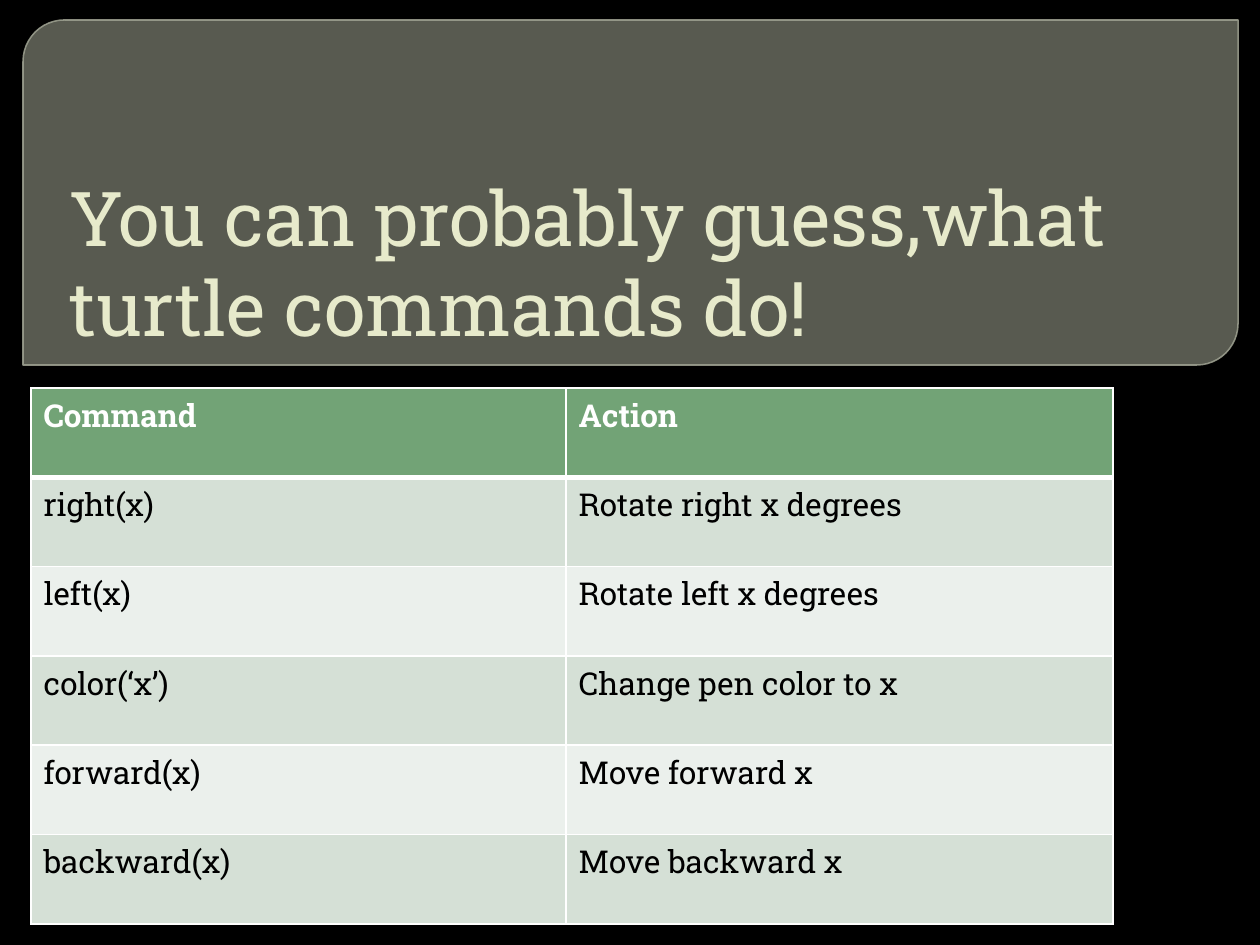
from dataclasses import dataclass
from typing import Any

from lxml import etree
from pptx import Presentation
from pptx import util as u
from pptx.dml import color
from pptx.enum import shapes, text
from pptx.oxml import ns

FACE = "Roboto Slab"
WHITE = "FFFFFF"


@dataclass
class Box:
    left: int
    top: int
    width: int
    height: int


@dataclass
class Row:
    name: str
    act: str


ROWS = [
    Row("Command", "Action"),
    Row("right(x)", "Rotate right x degrees"),
    Row("left(x)", "Rotate left x degrees"),
    Row("color(‘x’)", "Change pen color to x"),
    Row("forward(x)", "Move forward x"),
    Row("backward(x)", "Move backward x"),
]


def px(n: int) -> int:
    return round(n * u.Inches(1) / 126)


def rgb(code: str) -> color.RGBColor:
    return color.RGBColor.from_string(code)


def place(box: Box) -> list[int]:
    return [px(n) for n in (box.left, box.top, box.width, box.height)]


def apply(obj: Any, vals: dict[str, Any]) -> None:
    for key, val in vals.items():
        setattr(obj, key, val)


def paint(fill: Any, code: str, alpha: int = 100) -> None:
    fill.solid()
    fill.fore_color.rgb = rgb(code)
    if alpha < 100:
        tint = fill._xPr.find(".//" + ns.qn("a:srgbClr"))
        etree.SubElement(tint, ns.qn("a:alpha"), val=str(alpha * 1000))


def write(frame: Any, words: str, size: float, code: str, bold: bool = False) -> None:
    run = frame.paragraphs[0].add_run()
    run.text = words
    apply(run.font, {"name": FACE, "size": u.Pt(size), "bold": bold})
    run.font.color.rgb = rgb(code)


def panel(slide: Any, box: Box) -> None:
    shape = slide.shapes.add_shape(
        shapes.MSO_SHAPE.ROUND_2_DIAG_RECTANGLE, *place(box))
    shape.adjustments[0] = 0.12
    shape.adjustments[1] = 0
    shape.shadow.inherit = False
    paint(shape.fill, "888B7B", 65)
    shape.line.width = u.Pt(0.87)
    paint(shape.line.fill, "9DA090", 88)


def title(slide: Any, box: Box, words: str) -> None:
    frame = slide.shapes.add_textbox(*place(box)).text_frame
    apply(frame, {
        "word_wrap": True,
        "vertical_anchor": text.MSO_ANCHOR.BOTTOM,
        "margin_left": px(6),
        "margin_top": px(6),
        "margin_right": px(32),
        "margin_bottom": px(6),
    })
    write(frame, words, 43.2, "E7EACB")


def border(cell: Any, base: float) -> None:
    props = cell._tc.get_or_add_tcPr()
    sides = {"lnL": 1, "lnR": 1, "lnT": 1, "lnB": base}
    for spot, (side, width) in enumerate(sides.items()):
        line = etree.Element(ns.qn("a:" + side), w=str(u.Pt(width)))
        fill = etree.SubElement(line, ns.qn("a:solidFill"))
        etree.SubElement(fill, ns.qn("a:srgbClr"), val=WHITE)
        props.insert(spot, line)


def grid(slide: Any, box: Box, cols: list[int], rows: list[Row]) -> None:
    table = slide.shapes.add_table(len(rows), len(cols), *place(box)).table
    for col, width in zip(table.columns, cols):
        col.width = px(width)
    for i, row in enumerate(rows):
        head = i == 0
        back = "72A376" if head else ("EBF0EC", "D5E0D6")[i % 2]
        for j, words in enumerate((row.name, row.act)):
            cell = table.cell(i, j)
            paint(cell.fill, back)
            border(cell, 3 if head or i == 1 and False else 1)
            write(cell.text_frame, words, 18, WHITE if head else "000000", head)


def main() -> None:
    deck = Presentation()
    apply(deck, {"slide_width": px(1260), "slide_height": px(945)})
    slide = deck.slides.add_slide(deck.slide_layouts[6])
    paint(slide.background.fill, "000000")
    panel(slide, Box(23, 20, 1215, 345))
    title(slide, Box(64, 53, 1134, 305),
          "You can probably guess,what turtle commands do!")
    grid(slide, Box(31, 388, 1082, 536), [535, 547], ROWS)
    deck.save("out.pptx")


if __name__ == "__main__":
    main()
